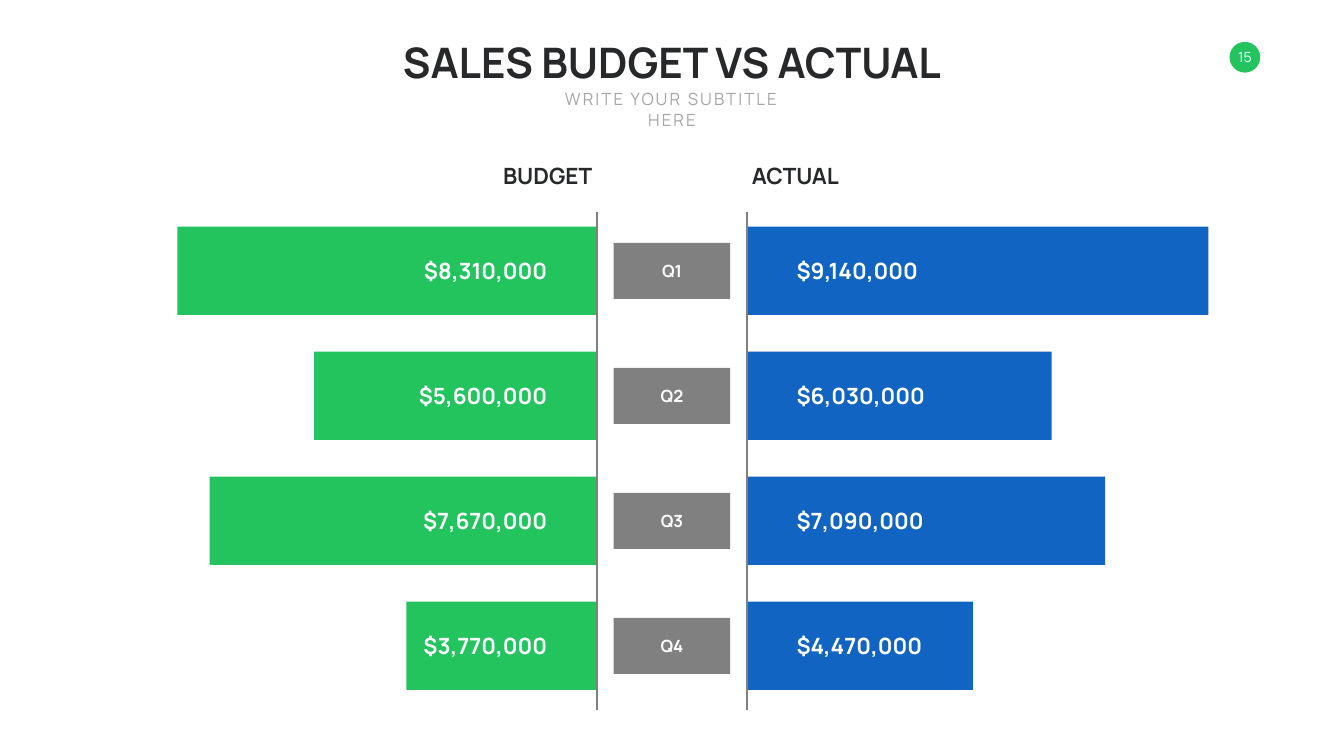
from dataclasses import dataclass

import pptx
import pptx.dml.color
import pptx.enum.shapes
import pptx.enum.text
import pptx.util
from lxml import etree
from pptx.util import Cm

ALIGN = pptx.enum.text.PP_ALIGN
ANCHOR = pptx.enum.text.MSO_ANCHOR
SHAPE = pptx.enum.shapes.MSO_SHAPE


@dataclass(frozen=True)
class Theme:
    font: str = "Manrope"
    budget: str = "23C35E"
    actual: str = "1264C3"
    neutral: str = "808080"
    dark: str = "272829"
    subtle: str = "A6A6A6"
    light: str = "FFFFFF"
    title_size: int = 60
    value_size: int = 32
    label_size: int = 24
    page_size: int = 20


THEME = Theme()

# Quarter, budget and actual in millions of dollars
QUARTERS = [
    ("Q1", 8.31, 9.14),
    ("Q2", 5.60, 6.03),
    ("Q3", 7.67, 7.09),
    ("Q4", 3.77, 4.47),
]

# Lengths in centimetres
WIDTH, HEIGHT = 67.72, 38.1
CENTER = WIDTH / 2
CM_PER_MILLION = 2.54
FIRST_ROW, ROW_PITCH = 13.65, 6.3
BAR_HEIGHT = 4.45
AXIS_GAP, BAR_GAP, VALUE_GAP = 3.77, 3.81, 6.03
AXIS_TOP, AXIS_BOTTOM = 10.69, 35.79
TILE_WIDTH, TILE_HEIGHT = 5.87, 2.82
TEXT_WIDTH, TEXT_HEIGHT = 7.4, 1.62
HEADING_Y = 8.86


def rgb(color):
    return pptx.dml.color.RGBColor.from_string(color)


def side_left(side, gap, width):
    """Left edge of a box that starts at gap from the centre; side is -1 or 1."""
    return CENTER + gap if side > 0 else CENTER - gap - width


def add_block(slide, left, top, width, height, color, kind=SHAPE.RECTANGLE):
    sp = slide.shapes.add_shape(kind, Cm(left), Cm(top), Cm(width), Cm(height))
    sp.shadow.inherit = False
    sp.fill.solid()
    sp.fill.fore_color.rgb = rgb(color)
    sp.line.fill.background()
    return sp


def add_text(slide, text, left, top, width, height, size, color,
             bold=False, align=ALIGN.CENTER, anchor=ANCHOR.MIDDLE):
    box = slide.shapes.add_textbox(Cm(left), Cm(top), Cm(width), Cm(height))
    tf = box.text_frame
    tf.text = text
    tf.word_wrap = True
    tf.vertical_anchor = anchor
    p = tf.paragraphs[0]
    p.alignment = align
    font = p.runs[0].font
    font.name = THEME.font
    font.size = pptx.util.Pt(size)
    font.bold = bold
    font.color.rgb = rgb(color)
    return box


def add_side_text(slide, text, side, gap, middle, color):
    add_text(slide, text, side_left(side, gap, TEXT_WIDTH), middle - TEXT_HEIGHT / 2,
             TEXT_WIDTH, TEXT_HEIGHT, THEME.value_size, color, bold=True,
             align=ALIGN.LEFT if side > 0 else ALIGN.RIGHT)


def add_axis(slide, x):
    line = slide.shapes.add_connector(
        pptx.enum.shapes.MSO_CONNECTOR.STRAIGHT,
        Cm(x), Cm(AXIS_TOP), Cm(x), Cm(AXIS_BOTTOM))
    line.line.color.rgb = rgb(THEME.neutral)
    line.line.width = pptx.util.Pt(3)
    etree.SubElement(line._element.spPr, pptx.oxml.ns.qn("a:effectLst"))


def add_header(slide):
    title_width, subtitle_width = 28.6, 13.79
    add_text(slide, "SALES BUDGET VS ACTUAL", CENTER - title_width / 2, 1.7,
             title_width, 2.82, THEME.title_size, THEME.dark, bold=True,
             anchor=ANCHOR.TOP)
    subtitle = add_text(slide, "WRITE YOUR SUBTITLE HERE", CENTER - subtitle_width / 2,
                        4.37, subtitle_width, 1.27, THEME.label_size, THEME.subtle,
                        anchor=ANCHOR.TOP)
    run = subtitle.text_frame.paragraphs[0].runs[0]
    run.font._element.set("spc", "300")


def add_page_number(slide, number):
    left, top, size = 61.95, 2.11, 1.55
    add_block(slide, left, top, size, size, THEME.budget, SHAPE.OVAL)
    box = add_text(slide, number, left, top, size, size, THEME.page_size, THEME.light)
    tf = box.text_frame
    tf.margin_left = tf.margin_right = tf.margin_top = tf.margin_bottom = 0


def add_side(slide, side, heading, color, values):
    """Draw one half of the comparison, with bars growing away from its axis."""
    for row, value in enumerate(values):
        middle = FIRST_ROW + row * ROW_PITCH
        width = value * CM_PER_MILLION
        add_block(slide, side_left(side, BAR_GAP, width), middle - BAR_HEIGHT / 2,
                  width, BAR_HEIGHT, color)
        add_side_text(slide, f"${round(value * 1_000_000):,}", side, VALUE_GAP,
                      middle, THEME.light)
    add_axis(slide, CENTER + side * AXIS_GAP)
    add_side_text(slide, heading, side, AXIS_GAP, HEADING_Y, THEME.dark)


def add_quarter_tiles(slide, names):
    left = CENTER - TILE_WIDTH / 2
    for row, name in enumerate(names):
        top = FIRST_ROW + row * ROW_PITCH - TILE_HEIGHT / 2
        add_block(slide, left, top, TILE_WIDTH, TILE_HEIGHT, THEME.neutral)
        add_text(slide, name, left, top, TILE_WIDTH, TILE_HEIGHT,
                 THEME.label_size, THEME.light, bold=True)


def main():
    prs = pptx.Presentation()
    prs.slide_width, prs.slide_height = Cm(WIDTH), Cm(HEIGHT)
    slide = prs.slides.add_slide(prs.slide_layouts[6])
    names, budget, actual = zip(*QUARTERS)
    add_page_number(slide, "15")
    add_header(slide)
    add_side(slide, -1, "BUDGET", THEME.budget, budget)
    add_side(slide, 1, "ACTUAL", THEME.actual, actual)
    add_quarter_tiles(slide, names)
    prs.save("out.pptx")


if __name__ == "__main__":
    main()
